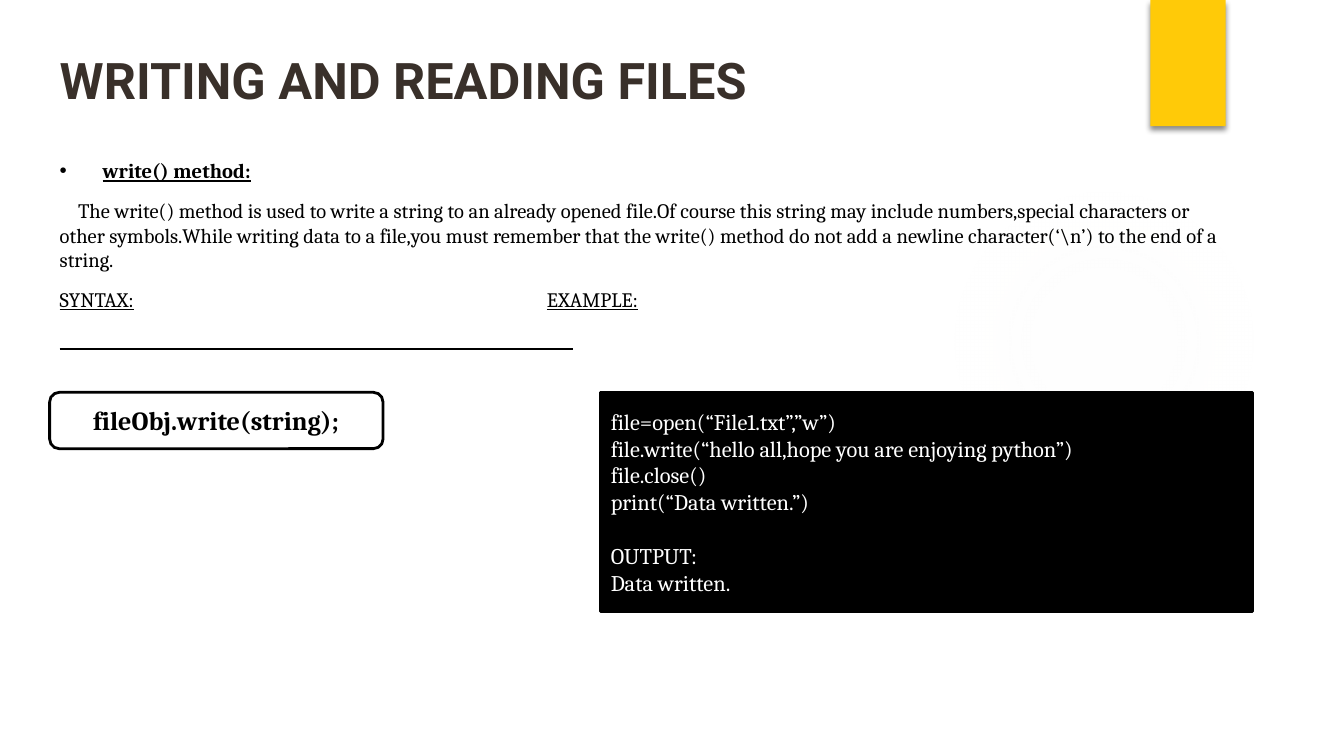
"""Build the slide on writing and reading files with the write() method."""
from lxml import etree
from pptx import Presentation
from pptx.dml.color import RGBColor
from pptx.enum.shapes import MSO_CONNECTOR, MSO_SHAPE
from pptx.enum.text import MSO_ANCHOR, PP_ALIGN
from pptx.oxml import parse_xml
from pptx.oxml.ns import nsdecls, qn
from pptx.util import Pt

OVAL, RECTANGLE, ROUNDED = MSO_SHAPE.OVAL, MSO_SHAPE.RECTANGLE, MSO_SHAPE.ROUNDED_RECTANGLE
STRAIGHT = MSO_CONNECTOR.STRAIGHT
TOP, MIDDLE = MSO_ANCHOR.TOP, MSO_ANCHOR.MIDDLE
LEFT, CENTER = PP_ALIGN.LEFT, PP_ALIGN.CENTER
BLACK = RGBColor(0x00, 0x00, 0x00)
WHITE = RGBColor(0xFF, 0xFF, 0xFF)
YELLOW = RGBColor(0xFF, 0xCA, 0x08)
BROWN = RGBColor(0x39, 0x30, 0x2A)
GLOW = RGBColor(0xF4, 0xF1, 0xF0)

TITLE_FONT = {"name": "Roboto", "size": Pt(27), "bold": True}
BODY_FONT = {"name": "Cambria", "size": Pt(11)}
SYNTAX_FONT = {"name": "Cambria", "size": Pt(14), "bold": True}
CODE_FONT = {"name": "Cambria", "size": Pt(12)}


def add_box(kind, left, top, width, height, fill, line=None):
    shape = slide.shapes.add_shape(kind, Pt(left), Pt(top), Pt(width), Pt(height))
    shape.shadow.inherit = False
    shape.fill.solid()
    shape.fill.fore_color.rgb = fill
    if line is None:
        shape.line.fill.background()
    else:
        shape.line.color.rgb = line
        shape.line.width = Pt(1.5)
    return shape


def write_text(shape, paragraphs, font, color, anchor=TOP, alignment=LEFT):
    frame = shape.text_frame
    frame_format = {
        "word_wrap": True, "vertical_anchor": anchor,
        "margin_left": Pt(5.4), "margin_right": Pt(5.4),
        "margin_top": Pt(2.7), "margin_bottom": Pt(2.7),
    }
    for name, value in frame_format.items():
        setattr(frame, name, value)
    for index, (runs, space_before) in enumerate(paragraphs):
        paragraph = frame.add_paragraph() if index else frame.paragraphs[0]
        paragraph.alignment = alignment
        paragraph.space_before = Pt(space_before)
        for text, extra in runs:
            run = paragraph.add_run()
            run.text = text
            for name, value in {**font, **extra}.items():
                setattr(run.font, name, value)
            run.font.color.rgb = color
    return frame.paragraphs


presentation = Presentation()
presentation.slide_width, presentation.slide_height = Pt(720), Pt(405)
slide = presentation.slides.add_slide(presentation.slide_layouts[6])

glow = add_box(OVAL, 508.3, 99.4, 166.3, 166.3, GLOW)
stops = "".join(
    f'<a:gs pos="{position * 1000}"><a:srgbClr val="{GLOW}">'
    f'<a:alpha val="{alpha * 1000}"/></a:srgbClr></a:gs>'
    for position, alpha in ((0, 7), (36, 6), (69, 0), (100, 0))
)
gradient = parse_xml(
    f'<a:gradFill {nsdecls("a")}><a:gsLst>{stops}</a:gsLst><a:path path="circle">'
    '<a:fillToRect l="50000" t="50000" r="50000" b="50000"/></a:path></a:gradFill>'
)
properties = glow.element.spPr
properties.replace(properties.find(qn("a:solidFill")), gradient)

ribbon = add_box(RECTANGLE, 616.3, 0, 40.3, 67.7, YELLOW)
ribbon.element.spPr.find(qn("a:effectLst")).append(parse_xml(
    f'<a:outerShdw {nsdecls("a")} blurRad="{Pt(3)}" dist="{Pt(2)}" dir="5400000" rotWithShape="0">'
    '<a:srgbClr val="000000"><a:alpha val="45000"/></a:srgbClr></a:outerShdw>'
))

title = slide.shapes.add_textbox(Pt(26.6), Pt(23.8), Pt(555.1), Pt(58.3))
write_text(title, [([("WRITING AND READING FILES", {})], 0)], TITLE_FONT, BROWN)

body = slide.shapes.add_textbox(Pt(26.6), Pt(82.1), Pt(635), Pt(287.3))
underlined = {"underline": True}
description = (
    "The write() method is used to write a string to an already opened file.Of course this string "
    "may include numbers,special characters or other symbols.While writing data to a file,you must "
    "remember that the write() method do not add a newline character(‘\\n’) to the end of a string."
)
heading, explanation, labels = write_text(body, [
    ([("write() method:", {"bold": True, "underline": True})], 0),
    ([(description, {})], 8),
    ([("SYNTAX:", underlined), ("\t", {}), ("EXAMPLE:", underlined)], 8),
], BODY_FONT, BLACK)

heading_format = heading._p.get_or_add_pPr()
heading_format.set("marL", str(Pt(23)))
heading_format.set("indent", str(Pt(-23)))
bullet_color = etree.SubElement(heading_format, qn("a:buClr"))
etree.SubElement(bullet_color, qn("a:srgbClr"), val=str(BLACK))
etree.SubElement(heading_format, qn("a:buFont"), typeface="Arial")
etree.SubElement(heading_format, qn("a:buChar"), char="•")
explanation._p.get_or_add_pPr().set("indent", str(Pt(9.8)))
tabs = etree.SubElement(labels._p.get_or_add_pPr(), qn("a:tabLst"))
etree.SubElement(tabs, qn("a:tab"), pos=str(Pt(261)), algn="l")

rule = slide.shapes.add_connector(STRAIGHT, Pt(32), Pt(187), Pt(307), Pt(187))
rule.line.color.rgb = BLACK
rule.line.width = Pt(1)
etree.SubElement(rule.element.spPr, qn("a:effectLst"))

syntax = add_box(ROUNDED, 26.6, 210.2, 178.6, 30.2, WHITE, BLACK)
syntax.adjustments[0] = 0.17
write_text(syntax, [([("fileObj.write(string);", {})], 0)], SYNTAX_FONT, BLACK, MIDDLE, CENTER)

example = add_box(RECTANGLE, 321.8, 210.2, 349.2, 117.4, BLACK, BLACK)
code_lines = [
    ("file=open(“File1.txt”,”w”)", 0),
    ("file.write(“hello all,hope you are enjoying python”)", 0),
    ("file.close()", 0),
    ("print(“Data written.”)", 0),
    ("OUTPUT:", 14.4),
    ("Data written.", 0),
]
write_text(example, [([(text, {})], gap) for text, gap in code_lines], CODE_FONT, WHITE, MIDDLE)

presentation.save("out.pptx")
